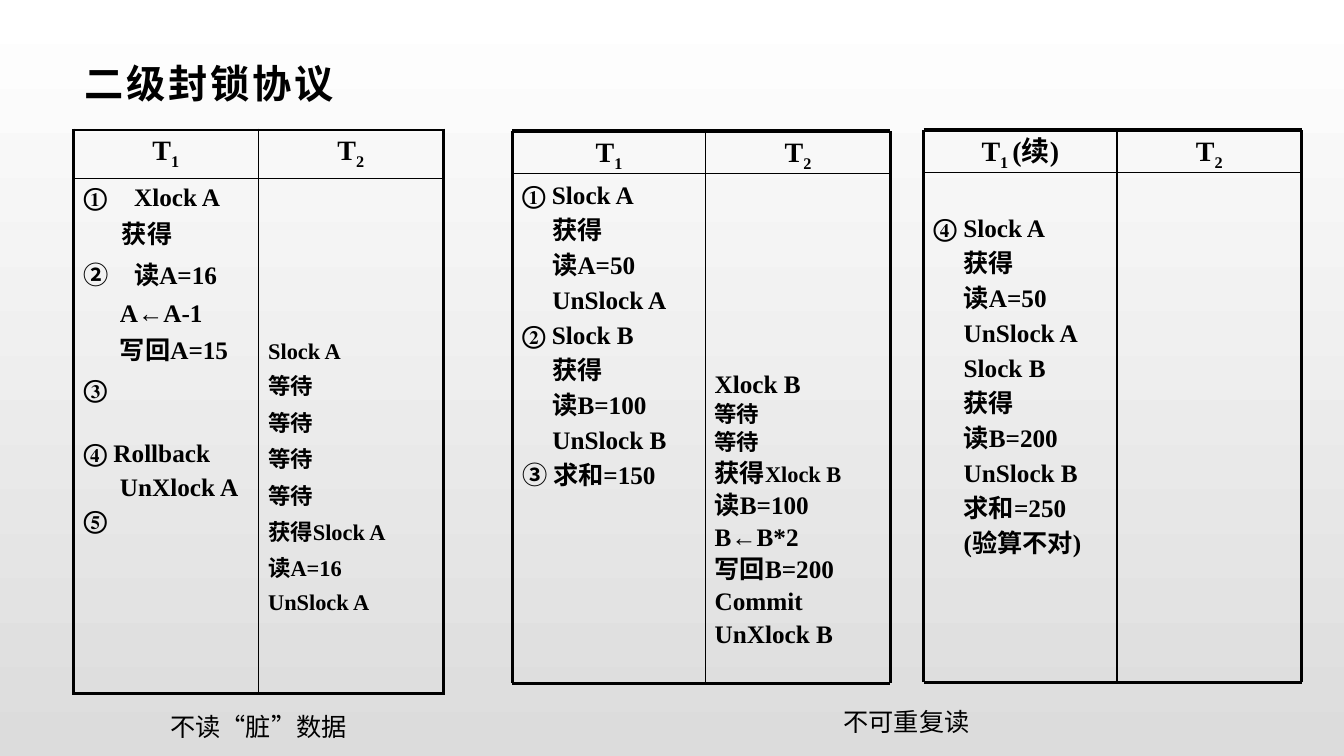
from lxml import etree
from pptx import Presentation
from pptx.dml.color import RGBColor
from pptx.enum.shapes import MSO_CONNECTOR
from pptx.enum.text import MSO_ANCHOR, PP_ALIGN
from pptx.oxml.ns import qn
from pptx.util import Pt

PX = 9144  # one px is a hundredth of an inch
BLACK = RGBColor(0x00, 0x00, 0x00)
WHITE = RGBColor(0xFF, 0xFF, 0xFF)
GREY = RGBColor(0xDC, 0xDC, 0xDC)
SERIF, SANS = "Times New Roman", "Arial"
LEFT, CENTER = PP_ALIGN.LEFT, PP_ALIGN.CENTER
TOP, MIDDLE = MSO_ANCHOR.TOP, MSO_ANCHOR.MIDDLE
STRAIGHT = MSO_CONNECTOR.STRAIGHT
THICK, THIN = 2.25, 1
SUB = -25000
LINE_HEIGHT = 20  # points

deck = Presentation()
deck.slide_width, deck.slide_height = 1333 * PX, 750 * PX
page = deck.slides.add_slide(deck.slide_layouts[5])


def add_line(frame, spans, indent=0, before=0, align=LEFT, font=SERIF, height=LINE_HEIGHT):
    """Add one paragraph; each span is (text, size, baseline)."""
    para = frame.paragraphs[0]
    if para.runs:
        para = frame.add_paragraph()
        para.space_before = Pt(before)
    para.alignment = align
    if height:
        para.line_spacing = Pt(height)
    properties = para._p.get_or_add_pPr()
    properties.set("marL", str(indent * PX))
    properties.set("indent", "0")
    if "\t" in spans[0][0]:
        tabs = etree.SubElement(properties, qn("a:tabLst"))
        etree.SubElement(tabs, qn("a:tab"), pos=str(36 * PX), algn="l")
    for text, size, baseline in spans:
        span = para.add_run()
        span.text = text
        span.font.name, span.font.size = font, Pt(size)
        span.font.bold = font == SERIF
        span.font.color.rgb = BLACK
        if baseline:
            span._r.get_or_add_rPr().set("baseline", str(baseline))


def add_box(left, top, width, height, wrap=True, anchor=TOP):
    box = page.shapes.add_textbox(left * PX, top * PX, width * PX, height * PX)
    frame = box.text_frame
    frame.word_wrap = wrap
    frame.vertical_anchor = anchor
    frame.margin_left = frame.margin_right = 10 * PX
    frame.margin_top = frame.margin_bottom = 5 * PX
    return frame


# Background
fill = page.background.fill
fill.gradient()
fill.gradient_angle = 270
for stop, color, position in zip(fill.gradient_stops, (WHITE, GREY), (0, 1)):
    stop.color.rgb = color
    stop.position = position

# Title
title = page.shapes.title
title.left, title.top, title.width, title.height = 73 * PX, 47 * PX, 1187 * PX, 71 * PX
frame = title.text_frame
frame.vertical_anchor = MIDDLE
frame.margin_left, frame.margin_right = 11 * PX, 8 * PX
frame.margin_top = frame.margin_bottom = 4 * PX
add_line(frame, [("二级封锁协议", 28, 0)], font=SANS, height=None)
heading = frame.paragraphs[0].runs[0]
heading.font.bold = True
heading._r.get_or_add_rPr().set("spc", "200")

# Dirty read table
table = page.shapes.add_table(2, 2, 73 * PX, 129 * PX, 367 * PX, 559 * PX).table
table.first_row = table.horz_banding = False
for column, width in zip(table.columns, (183, 184)):
    column.width = width * PX
for row, height in zip(table.rows, (48, 511)):
    row.height = height * PX

for r in range(2):
    for c in range(2):
        cell = table.cell(r, c)
        cell.margin_left = cell.margin_right = 10 * PX
        cell.margin_top = cell.margin_bottom = 5 * PX
        outer = {"lnL": c == 0, "lnR": c == 1, "lnT": r == 0, "lnB": r == 1}
        for side, is_outer in outer.items():
            border = etree.SubElement(cell._tc.get_or_add_tcPr(), qn("a:" + side),
                                      w=str(Pt(THICK if is_outer else THIN)))
            solid = etree.SubElement(border, qn("a:solidFill"))
            etree.SubElement(solid, qn("a:srgbClr"), val=str(BLACK))
        cell.fill.background()

for c, number in enumerate("12"):
    add_line(table.cell(0, c).text_frame, [("T", 20, 0), (number, 20, SUB)],
             align=CENTER, height=None)

# Text, indent, space before
writer_steps = [
    ("①\tXlock A", 0, 0), ("获得", 38, 8), ("②\t读A=16", 0, 9),
    ("A←A-1", 36, 6), ("写回A=15", 36, 8), ("③", 0, 6),
    ("④ Rollback", 0, 26), ("UnXlock A", 36, 4), ("⑤", 0, 4),
]
for text, indent, before in writer_steps:
    add_line(table.cell(1, 0).text_frame, [(text, 18, 0)], indent, before)

table.cell(1, 1).margin_top = 157 * PX
for text in ("Slock A", "等待", "等待", "等待", "等待", "获得Slock A", "读A=16", "UnSlock A"):
    add_line(table.cell(1, 1).text_frame, [(text, 16, 0)],
             before=3 if text == "UnSlock A" else 6)

# Non-repeatable read: frames of the two panels
# Left, top, header of the first column, text top, steps of the first column
panels = [
    (508, 130, [("T", 20, 0), ("1", 20, SUB)], 175,
     ["① Slock A", "获得", "读A=50", "UnSlock A", "② Slock B", "获得",
      "读B=100", "UnSlock B", "③ 求和=150"]),
    (916, 129, [("T", 20, 0), ("1 ", 20, SUB), ("(续)", 20, 0)], 208,
     ["④ Slock A", "获得", "读A=50", "UnSlock A", "Slock B", "获得",
      "读B=200", "UnSlock B", "求和=250", "(验算不对)"]),
]
for left, top, header, text_top, steps in panels:
    middle, right = left + 192, left + 375
    divider, bottom = top + 42, top + 548
    add_line(add_box(left, top + 3, 192, 42), header, align=CENTER, height=24)
    add_line(add_box(middle, top + 3, 183, 42), [("T", 20, 0), ("2", 20, SUB)],
             align=CENTER, height=24)
    frame = add_box(left, text_top, 192, bottom - text_top)
    for text in steps:
        add_line(frame, [(text, 18, 0)], 0 if text[0] in "①②③④" else 30, 5)
    rules = [
        (left, top, right, top, THICK), (left, divider, right, divider, THIN),
        (left, bottom, right, bottom, THICK), (left, top, left, bottom, THICK),
        (middle, top, middle, bottom, THIN), (right, top, right, bottom, THICK),
    ]
    for x1, y1, x2, y2, weight in rules:
        rule = page.shapes.add_connector(STRAIGHT, x1 * PX, y1 * PX, x2 * PX, y2 * PX)
        rule.line.color.rgb = BLACK
        rule.line.width = Pt(weight)
        etree.SubElement(rule._element.spPr, qn("a:effectLst"))

# Second transaction of the first panel
update_steps = [
    ([("Xlock B", 18, 0)], 0), ([("等待", 16, 0)], 0), ([("等待", 16, 0)], 0),
    ([("获得", 18, 0), ("Xlock B", 16, 0)], 3), ([("读B=100", 18, 0)], 3),
    ([("B←B*2", 18, 0)], 3), ([("写回B=200", 18, 0)], 3),
    ([("Commit", 18, 0)], 3), ([("UnXlock B", 18, 0)], 3),
]
frame = add_box(699, 363, 184, 310)
for spans, before in update_steps:
    add_line(frame, spans, before=before)

# Captions
add_line(add_box(159, 701, 195, 40, wrap=False), [("不读“脏”数据", 18, 0)],
         font=SANS, height=None)
add_line(add_box(770, 693, 258, 45, wrap=False, anchor=MIDDLE), [("不可重复读", 18, 0)],
         align=CENTER, font=SANS, height=None)

deck.save("out.pptx")
